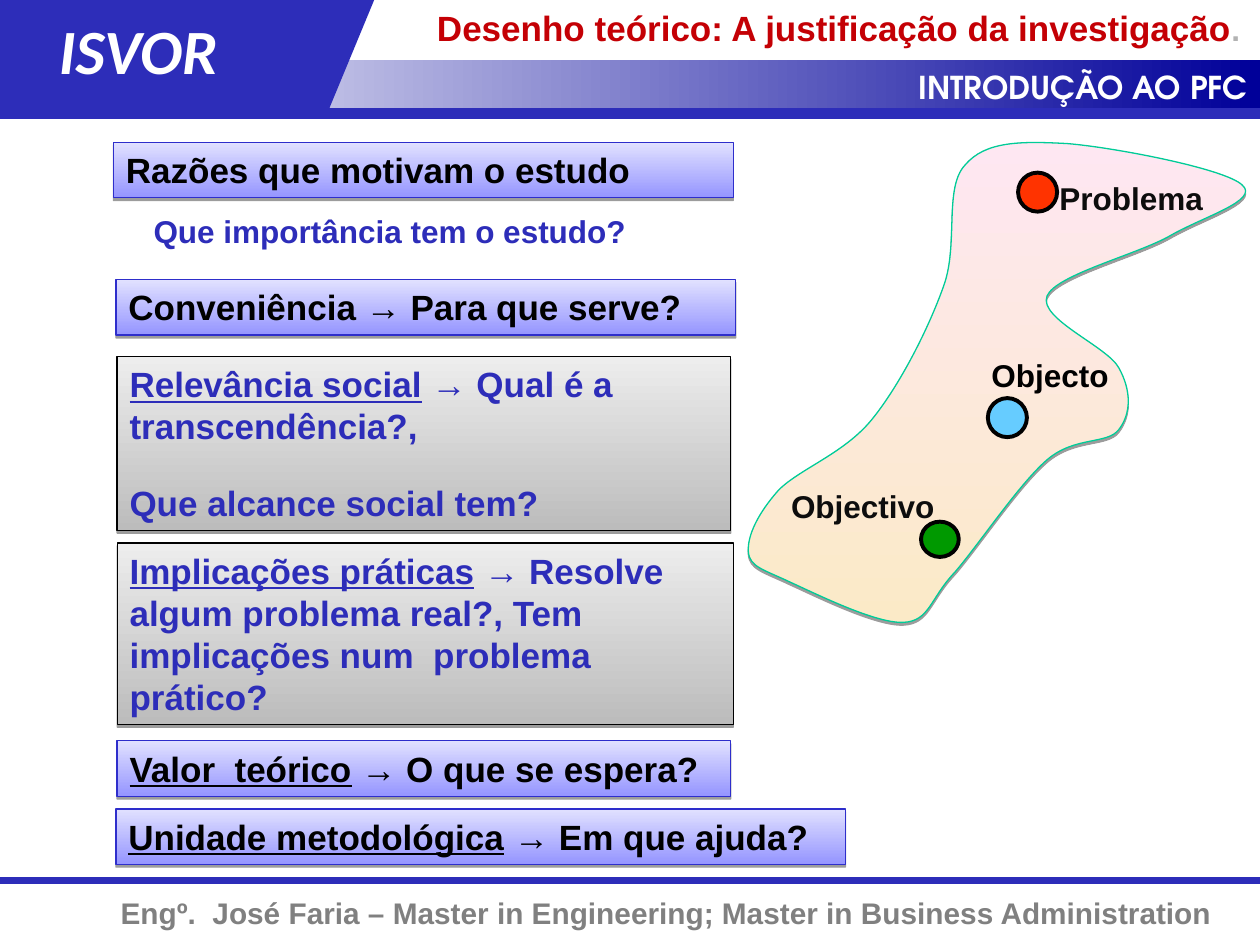
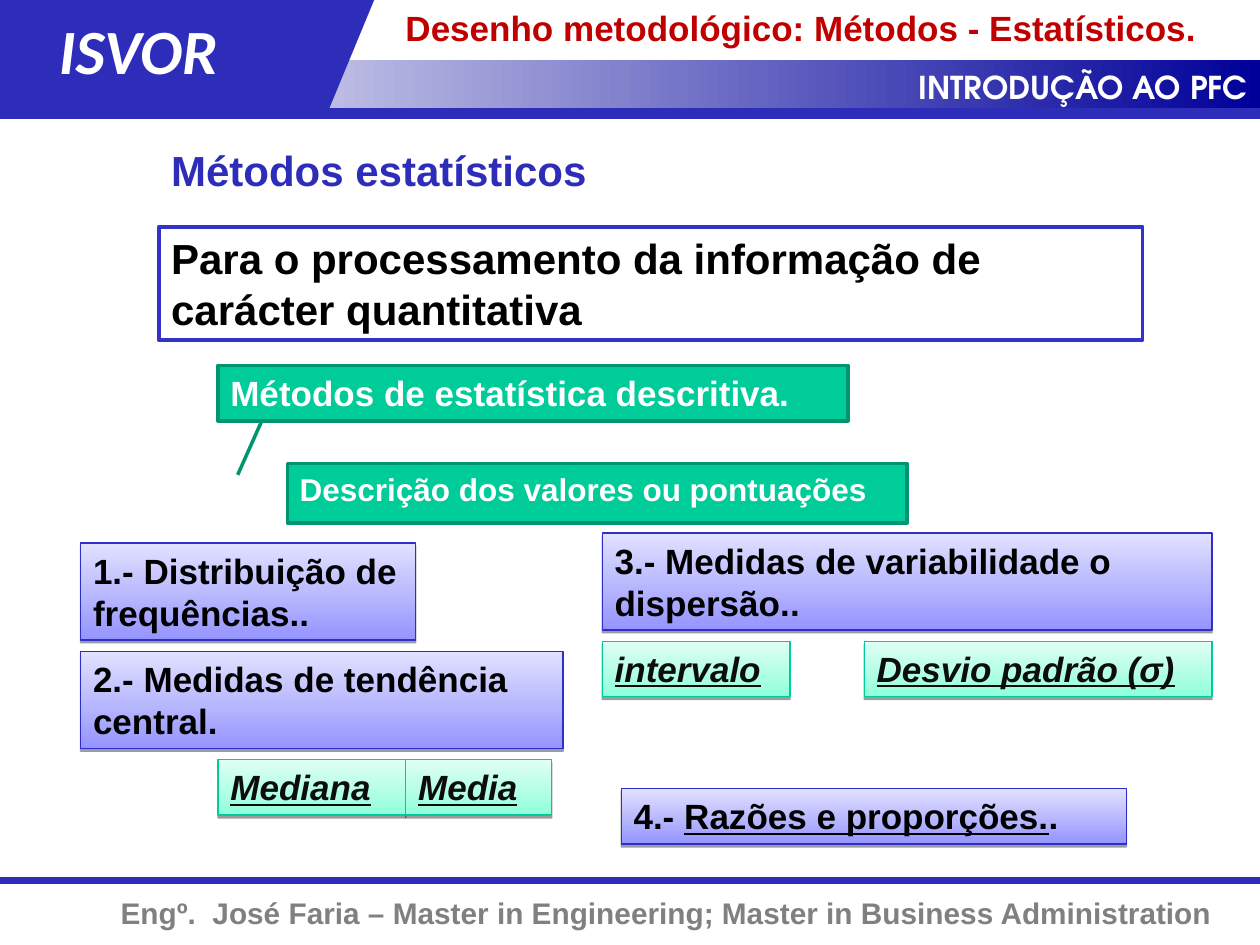
"""Build two course slides on research design and statistical methods."""
from dataclasses import dataclass
from typing import Optional

from lxml import etree
from pptx import Presentation
from pptx.dml.color import RGBColor
from pptx.enum.shapes import MSO_CONNECTOR, MSO_SHAPE
from pptx.enum.text import MSO_ANCHOR, MSO_AUTO_SIZE, PP_ALIGN
from pptx.oxml.ns import qn
from pptx.shapes.autoshape import Shape
from pptx.slide import Slide
from pptx.util import Pt

PX = 9144
SLIDE_WIDTH, SLIDE_HEIGHT = 1000, 750

RECTANGLE = MSO_SHAPE.RECTANGLE
PARALLELOGRAM = MSO_SHAPE.FLOWCHART_DATA
OVAL = MSO_SHAPE.OVAL
CALLOUT = MSO_SHAPE.LINE_CALLOUT_1
STRAIGHT = MSO_CONNECTOR.STRAIGHT
TOP = MSO_ANCHOR.TOP
GROW = MSO_AUTO_SIZE.SHAPE_TO_FIT_TEXT
FIXED = MSO_AUTO_SIZE.NONE
LEFT, RIGHT, JUSTIFY = PP_ALIGN.LEFT, PP_ALIGN.RIGHT, PP_ALIGN.JUSTIFY

BLACK = RGBColor(0x00, 0x00, 0x00)
INK = RGBColor(0x0D, 0x0D, 0x0D)
WHITE = RGBColor(0xFF, 0xFF, 0xFF)
BRAND = RGBColor(0x2D, 0x2D, 0xB9)
NAVY = RGBColor(0x00, 0x00, 0x99)
FRAME_BLUE = RGBColor(0x33, 0x33, 0xCC)
EDGE_BLUE = RGBColor(0x2E, 0x2E, 0xCB)
LILAC = RGBColor(0x95, 0x95, 0xFF)
PALE_LILAC = RGBColor(0xE1, 0xE1, 0xFF)
SILVER = RGBColor(0xBC, 0xBC, 0xBC)
PALE_SILVER = RGBColor(0xED, 0xED, 0xED)
MINT = RGBColor(0x90, 0xFF, 0xDA)
PALE_MINT = RGBColor(0xE0, 0xFF, 0xF4)
EDGE_MINT = RGBColor(0x00, 0xCC, 0x98)
TEAL = RGBColor(0x00, 0xCC, 0x99)
DARK_TEAL = RGBColor(0x00, 0x95, 0x6F)
SAND = RGBColor(0xFB, 0xEA, 0xC7)
ROSE = RGBColor(0xFE, 0xE7, 0xF2)
RED = RGBColor(0xFF, 0x33, 0x00)
SKY = RGBColor(0x66, 0xCC, 0xFF)
GREEN = RGBColor(0x00, 0x99, 0x00)
FOOTER_GREY = RGBColor(0x80, 0x80, 0x80)
STOP_GREY = RGBColor(0xB2, 0xB2, 0xB2)
TITLE_RED = RGBColor(0xC4, 0x00, 0x05)
TITLE_CRIMSON = RGBColor(0xC0, 0x00, 0x00)


@dataclass(frozen=True)
class Look:
    """Fill, outline and shadow of a shape; a second fill makes a gradient."""
    fill: RGBColor
    fill_end: Optional[RGBColor] = None
    angle: int = 90
    line: Optional[RGBColor] = None
    line_width: float = 0.75
    shadow: bool = False


@dataclass(frozen=True)
class Span:
    """A stretch of text with its own underline, colour or size."""
    text: str
    underline: bool = False
    color: Optional[RGBColor] = None
    size: Optional[int] = None


@dataclass(frozen=True)
class Panel:
    """A block of text, with a box behind it when it has a look."""
    left: int
    top: int
    width: int
    height: int
    paragraphs: tuple[tuple[Span, ...], ...]
    look: Optional[Look] = None
    size: int = 20
    color: RGBColor = BLACK
    font: str = "Arial"
    italic: bool = False
    align: PP_ALIGN = LEFT
    kind: MSO_SHAPE = RECTANGLE
    adjustments: tuple[float, ...] = ()


@dataclass(frozen=True)
class Block:
    """A preset shape without text."""
    kind: MSO_SHAPE
    left: int
    top: int
    width: int
    height: int
    look: Look


@dataclass(frozen=True)
class Rule:
    """A horizontal line across the slide."""
    top: int
    width: int


BLUE_BOX = Look(LILAC, PALE_LILAC, line=EDGE_BLUE, shadow=True)
GREY_BOX = Look(SILVER, PALE_SILVER, line=BLACK, shadow=True)
MINT_BOX = Look(MINT, PALE_MINT, line=EDGE_MINT, shadow=True)
TEAL_BOX = Look(TEAL, line=DARK_TEAL, line_width=2)
REGION_LOOK = Look(SAND, ROSE, line=EDGE_MINT, shadow=True)


def line_of(text: str, underline: bool = False) -> tuple[tuple[Span, ...], ...]:
    """Return one paragraph with one span."""
    return ((Span(text, underline),),)


def question(topic: str, rest: str) -> tuple[Span, ...]:
    """Return an underlined topic, an arrow and the question it raises."""
    return Span(topic, True), Span(f" → {rest}")


def measure(left: int, top: int, width: int, name: str, align: PP_ALIGN = LEFT) -> Panel:
    """Return a mint panel that names a statistical measure."""
    return Panel(left, top, width, 44, line_of(name, True), MINT_BOX, color=INK,
                 italic=True, align=align)


def dot(left: int, top: int, width: int, height: int, color: RGBColor) -> Block:
    """Return a coloured dot with a black outline."""
    return Block(OVAL, left, top, width, height, Look(color, line=BLACK, line_width=2.25))


BANDS = (
    Block(RECTANGLE, 0, 48, 1000, 39, Look(WHITE, NAVY, angle=0)),
    Block(PARALLELOGRAM, 117, 0, 180, 87, Look(BRAND)),
    Block(RECTANGLE, 0, 0, 159, 87, Look(BRAND)),
)
FOOTER_RULE, HEADER_RULE = Rule(699, 4), Rule(90, 6)
FOOTER = Panel(0, 705, 972, 39, line_of("Engº.  José Faria – Master in Engineering; "
                                        "Master in Business Administration"),
               size=17, color=FOOTER_GREY, align=RIGHT)
COURSE = Panel(436, 49, 564, 40, line_of("INTRODUÇÃO AO PFC"), size=18, color=WHITE,
               font="TeX Gyre Adventor", align=RIGHT)
SCHOOL = Panel(37, 4, 193, 70, line_of("ISVOR"), size=36, color=WHITE,
               font="Calibri", italic=True)
SHARED = (FOOTER_RULE, FOOTER, *BANDS, COURSE, SCHOOL, HEADER_RULE)

REASONS = (
    Panel(90, 113, 492, 44, line_of("Razões que motivam o estudo"), BLUE_BOX),
    Panel(112, 163, 438, 40, line_of("Que importância tem o estudo?"),
          size=18, color=BRAND, align=JUSTIFY),
    Panel(92, 222, 492, 44, line_of("Conveniência → Para que serve?"), BLUE_BOX,
          align=JUSTIFY),
    Panel(93, 283, 487, 138,
          (question("Relevância social", "Qual é a transcendência?,"),
           (Span("Que alcance social tem?"),)), GREY_BOX, color=BRAND),
    Panel(93, 431, 489, 144,
          (question("Implicações práticas", "Resolve algum problema real?, Tem "
                    "implicações num  problema prático?"),), GREY_BOX, color=BRAND),
    Panel(93, 588, 487, 44, (question("Valor  teórico", "O que se espera?"),), BLUE_BOX),
    Panel(92, 642, 579, 44, (question("Unidade metodológica", "Em que ajuda?"),), BLUE_BOX),
)
REGION_START = (766, 131)
REGION_CURVES = (
    ((782, 112), (810, 112), (847, 114)),
    ((884, 117), (973, 134), (986, 147)),
    ((1000, 159), (955, 172), (929, 187)),
    ((903, 202), (838, 218), (831, 235)),
    ((824, 253), (879, 275), (888, 292)),
    ((898, 310), (898, 328), (888, 341)),
    ((879, 353), (853, 346), (831, 365)),
    ((809, 384), (777, 432), (758, 454)),
    ((738, 475), (738, 493), (717, 494)),
    ((695, 495), (647, 471), (627, 462)),
    ((606, 452), (595, 450), (594, 438)),
    ((593, 425), (602, 407), (618, 389)),
    ((635, 372), (670, 360), (692, 333)),
    ((714, 306), (737, 261), (749, 227)),
    ((761, 194), (749, 149), REGION_START),
)
REGION_MARKS = (
    Panel(831, 137, 150, 40, line_of("Problema"), size=18, color=INK),
    dot(731, 414, 30, 28, GREEN),
    dot(784, 316, 31, 31, SKY),
    Panel(777, 278, 126, 40, line_of("Objecto"), size=18),
    dot(808, 137, 31, 31, RED),
    Panel(618, 382, 143, 40, line_of("Objectivo"), size=18, color=INK),
)
REASONS_TITLE = Panel(
    337, 0, 663, 44,
    ((Span("Desenho teórico: A justificação da investigação"),
      Span(".", color=STOP_GREY, size=18)),), color=TITLE_RED)

METHODS = (
    Panel(126, 180, 781, 90,
          line_of("Para o processamento da informação de carácter quantitativa"),
          Look(WHITE, line=FRAME_BLUE, line_width=2), size=24),
    Panel(126, 110, 367, 50, line_of("Métodos estatísticos"),
          Look(WHITE, line=WHITE, line_width=2), size=24, color=BRAND),
    Panel(173, 290, 500, 44, line_of("Métodos de estatística descritiva."),
          TEAL_BOX, color=WHITE),
    Panel(228, 368, 492, 47, line_of("Descrição dos valores ou pontuações"),
          TEAL_BOX, size=18, color=WHITE, kind=CALLOUT,
          adjustments=(0.19, -0.08, -0.75, -0.04)),
    Panel(64, 431, 266, 77, line_of("1.- Distribuição de frequências.."), BLUE_BOX),
    Panel(64, 517, 383, 77, line_of("2.- Medidas de tendência central."), BLUE_BOX),
    measure(173, 603, 149, "Mediana", JUSTIFY),
    measure(322, 603, 116, "Media"),
    Panel(478, 423, 484, 77,
          ((Span("3.- Medidas de variabilidade o dispersão."), Span(".", color=INK)),),
          BLUE_BOX),
    measure(478, 509, 149, "intervalo"),
    measure(686, 509, 276, "Desvio padrão (σ)", JUSTIFY),
    Panel(493, 626, 401, 44,
          ((Span("4.- "), Span("Razões e proporções.", True), Span(".")),), BLUE_BOX),
)
METHODS_TITLE = Panel(
    312, 0, 666, 44, line_of("Desenho metodológico: Métodos - Estatísticos."),
    color=TITLE_CRIMSON)


def apply_look(shape: Shape, look: Look) -> None:
    """Set the fill, outline and shadow of a shape."""
    if look.fill_end is None:
        shape.fill.solid()
        shape.fill.fore_color.rgb = look.fill
    else:
        shape.fill.gradient()
        shape.fill.gradient_angle = look.angle
        for stop, color in zip(shape.fill.gradient_stops, (look.fill, look.fill_end)):
            stop.color.rgb = color
    if look.line is None:
        shape.line.fill.background()
    else:
        shape.line.color.rgb = look.line
        shape.line.width = Pt(look.line_width)
    shape.shadow.inherit = False
    if look.shadow:
        effects = shape._element.spPr.find(qn("a:effectLst"))
        outer = etree.SubElement(effects, qn("a:outerShdw"), blurRad="0", dist="20000",
                                 dir="5400000", rotWithShape="0")
        color = etree.SubElement(outer, qn("a:srgbClr"), val=str(BLACK))
        etree.SubElement(color, qn("a:alpha"), val="38000")


def draw_rule(slide: Slide, rule: Rule) -> None:
    """Draw a line across the slide."""
    line = slide.shapes.add_connector(
        STRAIGHT, 0, rule.top * PX, SLIDE_WIDTH * PX, rule.top * PX)
    line.line.color.rgb = BRAND
    line.line.width = Pt(rule.width)
    etree.SubElement(line._element.spPr, qn("a:effectLst"))


def write_text(box: Shape, panel: Panel) -> None:
    """Fill a box with the paragraphs of its panel."""
    frame = box.text_frame
    frame.word_wrap = True
    frame.vertical_anchor = TOP
    frame.auto_size = FIXED if panel.kind == CALLOUT else GROW
    for index, spans in enumerate(panel.paragraphs):
        para = frame.add_paragraph() if index else frame.paragraphs[0]
        para.alignment = panel.align
        para.space_before = Pt(panel.size * 0.625)
        para.space_after = Pt(panel.size * 0.375)
        for span in spans:
            run = para.add_run()
            run.text = span.text
            run.font.name = panel.font
            run.font.size = Pt(span.size or panel.size)
            run.font.bold = True
            run.font.italic = panel.italic
            run.font.underline = span.underline
            run.font.color.rgb = span.color or panel.color


def draw(slide: Slide, item: Panel | Block | Rule) -> None:
    """Draw a rule, a plain block or a text panel."""
    if isinstance(item, Rule):
        draw_rule(slide, item)
        return
    place = [value * PX for value in (item.left, item.top, item.width, item.height)]
    if item.look is None:
        box = slide.shapes.add_textbox(*place)
    else:
        box = slide.shapes.add_shape(item.kind, *place)
        apply_look(box, item.look)
    if isinstance(item, Panel):
        for index, value in enumerate(item.adjustments):
            box.adjustments[index] = value
        write_text(box, item)


def draw_region(slide: Slide) -> None:
    """Draw the region, turning each three segments into one Bézier curve."""
    builder = slide.shapes.build_freeform(*REGION_START, scale=PX)
    builder.add_line_segments([point for curve in REGION_CURVES for point in curve])
    region = builder.convert_to_shape()
    segments = list(region._element.iter(qn("a:lnTo")))
    for first, second, end in zip(segments[::3], segments[1::3], segments[2::3]):
        first.tag = qn("a:cubicBezTo")
        for segment in (second, end):
            first.append(segment[0])
            segment.getparent().remove(segment)
    apply_look(region, REGION_LOOK)


def main() -> None:
    """Build and save the deck."""
    deck = Presentation()
    deck.slide_width, deck.slide_height = SLIDE_WIDTH * PX, SLIDE_HEIGHT * PX
    reasons, methods = (deck.slides.add_slide(deck.slide_layouts[6]) for _ in range(2))
    for item in (*SHARED, *REASONS):
        draw(reasons, item)
    draw_region(reasons)
    for item in (*REGION_MARKS, REASONS_TITLE):
        draw(reasons, item)
    for item in (*SHARED, *METHODS, METHODS_TITLE):
        draw(methods, item)
    deck.save("out.pptx")


if __name__ == "__main__":
    main()
